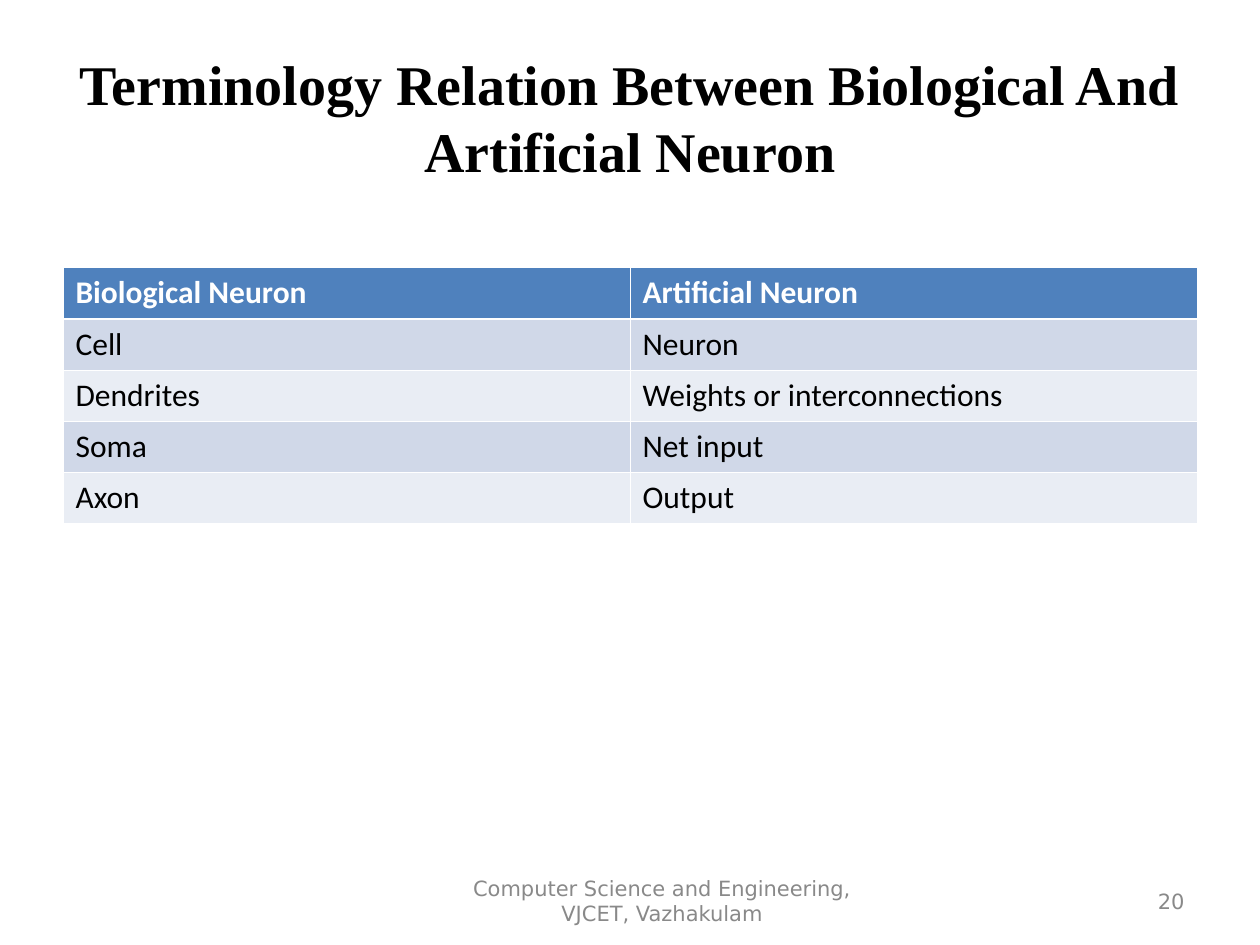
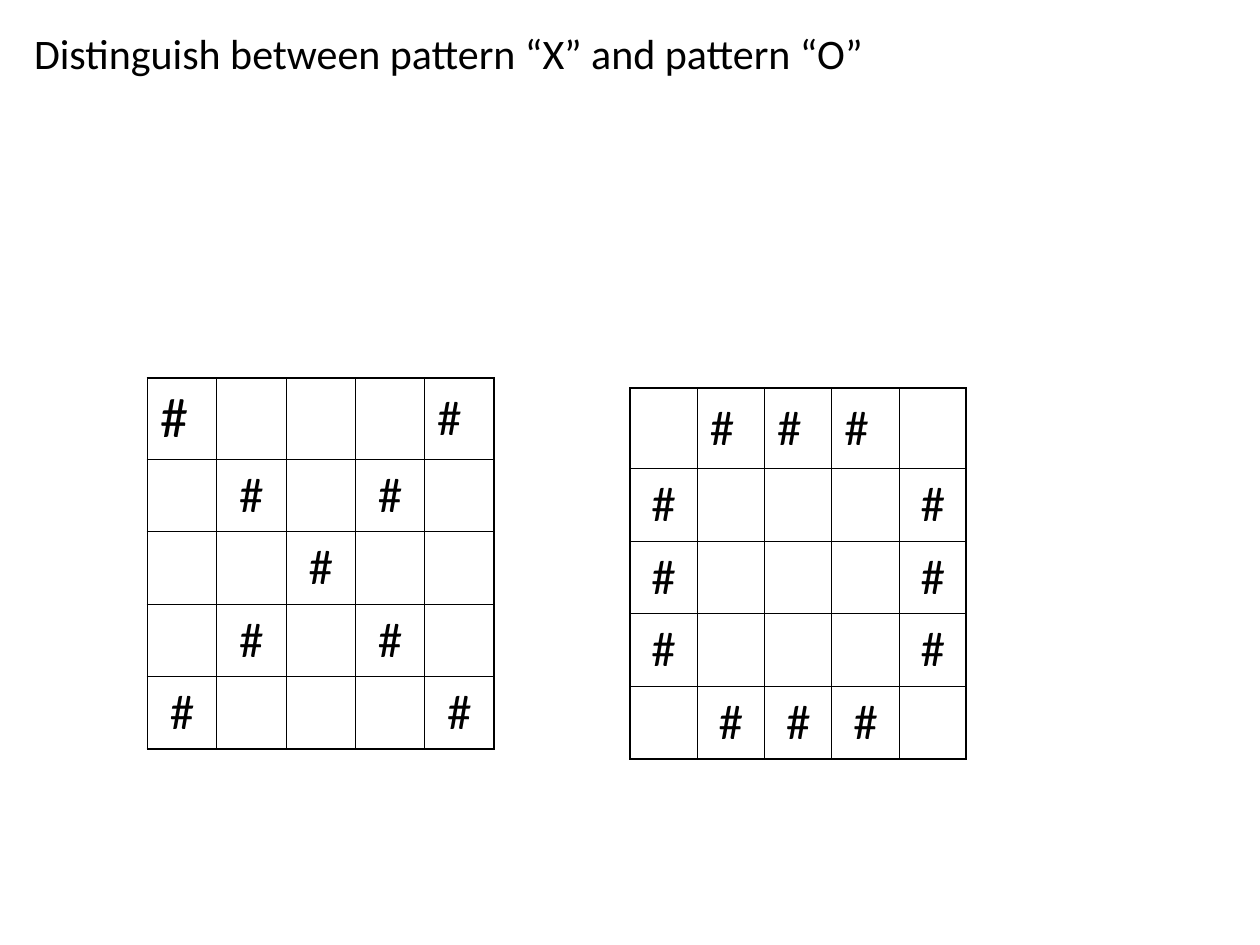
from dataclasses import dataclass
from typing import Any, Callable

from lxml import etree
from pptx import Presentation
from pptx.dml.color import RGBColor
from pptx.enum.text import MSO_ANCHOR, MSO_AUTO_SIZE, PP_ALIGN
from pptx.oxml.ns import qn
from pptx.util import Inches, Pt

LEFT, CENTER, RIGHT = PP_ALIGN.LEFT, PP_ALIGN.CENTER, PP_ALIGN.RIGHT
TOP, MIDDLE = MSO_ANCHOR.TOP, MSO_ANCHOR.MIDDLE
NO_AUTOFIT = MSO_AUTO_SIZE.NONE

COLORS = {
    "ink": "000000",
    "paper": "FFFFFF",
    "header": "4F81BD",
    "band_dark": "D0D8E8",
    "band_light": "E9EDF4",
    "footer": "898989",
}

THIN, OUTLINE, HEADER_RULE = 0.45, 1.08, 1.47


@dataclass(frozen=True)
class TextStyle:
    size: int
    name: str = "Calibri"
    color: str = "ink"
    bold: bool = False
    align: Any = LEFT
    anchor: Any = MIDDLE


@dataclass(frozen=True)
class Area:
    left: float
    top: float
    width: float
    height: float

    def lengths(self) -> list[int]:
        return [Inches(v) for v in (self.left, self.top, self.width, self.height)]


@dataclass(frozen=True)
class CellFormat:
    text: TextStyle
    borders: dict[str, float]
    border_color: str
    fill: str | None = None


@dataclass(frozen=True)
class Grid:
    area: Area
    rows: list[list[str]]
    first_row_height: float
    cell_format: Callable[[int, int], CellFormat]


TITLE = TextStyle(32, "Times New Roman", bold=True, align=CENTER)
STATEMENT = TextStyle(24, anchor=TOP)
FOOTER = TextStyle(12, "DejaVu Sans", "footer", align=CENTER)
PAGE_NUMBER = TextStyle(12, "DejaVu Sans", "footer", align=RIGHT)

NEURON_TERMS = [
    ["Biological Neuron", "Artificial Neuron"],
    ["Cell", "Neuron"],
    ["Dendrites", "Weights or interconnections"],
    ["Soma", "Net input"],
    ["Axon", "Output"],
]
PATTERN_X = ["#   #", " # # ", "  #  ", " # # ", "#   #"]
PATTERN_O = [" ### ", "#   #", "#   #", "#   #", " ### "]


# Text
def write(frame: Any, text: str, style: TextStyle) -> None:
    frame.word_wrap = True
    frame.vertical_anchor = style.anchor
    para = frame.paragraphs[0]
    para.alignment = style.align
    span = para.add_run()
    span.text = text
    for key in ("name", "bold"):
        setattr(span.font, key, getattr(style, key))
    span.font.size = Pt(style.size)
    span.font.color.rgb = RGBColor.from_string(COLORS[style.color])


def place(box: Any, area: Area) -> None:
    for key, length in zip(("left", "top", "width", "height"), area.lengths()):
        setattr(box, key, length)


def fill_placeholder(box: Any, area: Area, text: str, style: TextStyle) -> None:
    place(box, area)
    box.text_frame.auto_size = NO_AUTOFIT
    write(box.text_frame, text, style)


def add_label(page: Any, area: Area, text: str, style: TextStyle) -> None:
    box = page.shapes.add_textbox(*area.lengths())
    write(box.text_frame, text, style)


def add_footer(page: Any, number: int) -> None:
    add_label(page, Area(7.17, 6.95, 2.33, 0.4), str(number), PAGE_NUMBER)
    add_label(page, Area(3.42, 6.95, 3.67, 0.4),
              "Computer Science and Engineering, VJCET, Vazhakulam", FOOTER)


# Tables
def set_borders(cell: Any, borders: dict[str, float], color: str) -> None:
    properties = cell._tc.get_or_add_tcPr()
    for side in "LRTB":
        line = etree.SubElement(properties, qn(f"a:ln{side}"), w=str(Pt(borders[side])))
        solid = etree.SubElement(line, qn("a:solidFill"))
        etree.SubElement(solid, qn("a:srgbClr"), val=COLORS[color])


def add_grid(page: Any, grid: Grid) -> None:
    row_count, column_count = len(grid.rows), len(grid.rows[0])
    table = page.shapes.add_table(row_count, column_count, *grid.area.lengths()).table
    table.first_row = table.horz_banding = False
    for column in table.columns:
        column.width = Inches(grid.area.width / column_count)
    other_height = (grid.area.height - grid.first_row_height) / (row_count - 1)
    for index, row in enumerate(table.rows):
        row.height = Inches(other_height if index else grid.first_row_height)

    for row_index, texts in enumerate(grid.rows):
        for column_index, text in enumerate(texts):
            cell = table.cell(row_index, column_index)
            look = grid.cell_format(row_index, column_index)
            set_borders(cell, look.borders, look.border_color)
            if look.fill:
                cell.fill.solid()
                cell.fill.fore_color.rgb = RGBColor.from_string(COLORS[look.fill])
            else:
                cell.fill.background()
            if text.strip():
                write(cell.text_frame, text, look.text)
                cell.vertical_anchor = look.text.anchor


def term_format(row: int, column: int) -> CellFormat:
    borders = dict.fromkeys("LRTB", THIN)
    if row == 0:
        borders["B"] = HEADER_RULE
        style = TextStyle(18, color="paper", bold=True, anchor=TOP)
        return CellFormat(style, borders, "paper", "header")
    if row == 1:
        borders["T"] = HEADER_RULE
    fill = "band_dark" if row % 2 else "band_light"
    return CellFormat(TextStyle(18, anchor=TOP), borders, "paper", fill)


def pattern_format(row: int, column: int) -> CellFormat:
    last = len(PATTERN_X) - 1
    on_edge = {"L": column == 0, "R": column == last, "T": row == 0, "B": row == last}
    borders = {side: OUTLINE if edge else THIN for side, edge in on_edge.items()}
    size = 32 if row == column == 0 else 28
    style = TextStyle(size, align=CENTER if row else LEFT)
    return CellFormat(style, borders, "ink")


# Slides
def add_terminology_slide(deck: Any) -> None:
    page = deck.slides.add_slide(deck.slide_layouts[5])
    fill_placeholder(page.shapes.title, Area(0.5, 0.3, 9, 1.25),
                     "Terminology Relation Between Biological And Artificial Neuron", TITLE)
    add_grid(page, Grid(Area(0.5, 2.12, 9, 2.03), NEURON_TERMS, 0.41, term_format))
    add_footer(page, 20)


def add_pattern_slide(deck: Any) -> None:
    page = deck.slides.add_slide(deck.slide_layouts[1])
    title = page.shapes.title.element
    title.getparent().remove(title)

    body = page.placeholders[1]
    properties = body.text_frame.paragraphs[0]._p.get_or_add_pPr()
    properties.set("marL", str(Inches(0.38)))
    properties.set("indent", str(Inches(-0.38)))
    etree.SubElement(properties, qn("a:buNone"))
    body.text_frame.paragraphs[0].space_before = Pt(0)
    fill_placeholder(body, Area(0.17, 0.17, 8.42, 1.08),
                     "Distinguish between pattern “X” and pattern “O”", STATEMENT)

    for area, pattern in ((Area(1.17, 3, 2.75, 2.91), PATTERN_X),
                          (Area(5, 3.08, 2.67, 2.91), PATTERN_O)):
        add_grid(page, Grid(area, [list(line) for line in pattern], 0.64, pattern_format))


def main() -> None:
    deck = Presentation()
    deck.slide_width, deck.slide_height = Inches(10), Inches(7.5)
    add_terminology_slide(deck)
    add_pattern_slide(deck)
    deck.save("out.pptx")


if __name__ == "__main__":
    main()
